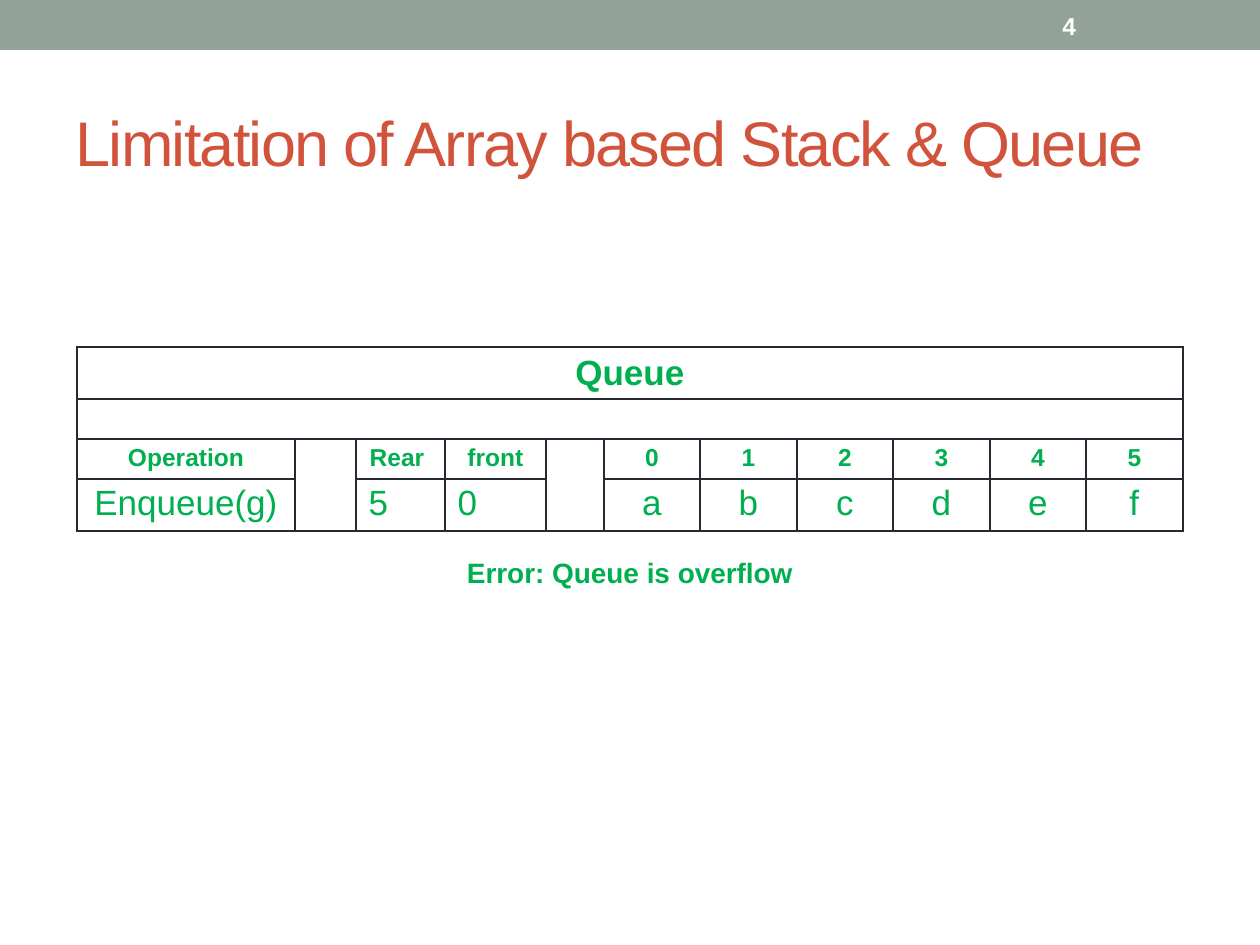
from lxml import etree
from pptx import Presentation
from pptx import util as u
from pptx.dml.color import RGBColor
from pptx.enum import shapes, text
from pptx.oxml.ns import qn

# Content
TITLE = "Limitation of Array based Stack & Queue"
PAGE_NUMBER = "4"
QUEUE_TITLE = "Queue"
HEADINGS = ["Operation", "", "Rear ", "front", "", "0", "1", "2", "3", "4", "5"]
VALUES = ["Enqueue(g)", "", "5", "0", "", "a", "b", "c", "d", "e", "f"]
ERROR = "Error: Queue is overflow"
LEFT_ALIGNED = (2, 3)
COLUMNS = [218, 61, 89, 101, 58] + [96, 97] * 3
ROWS = [51, 40, 40, 52, 103]
GREEN, RED, SAGE, DARK, WHITE = "00B050", "D2533C", "93A299", "292934", "FFFFFF"
PLAIN_TABLE = "{2D5ABB26-0587-4C30-8999-92F81FD0307C}"
LEFT, CENTER = text.PP_ALIGN.LEFT, text.PP_ALIGN.CENTER
MIDDLE, TOP = text.MSO_ANCHOR.MIDDLE, text.MSO_ANCHOR.TOP


def px(*lengths):
    return [u.Emu(round(length * 914400 / 126)) for length in lengths]


def color(value):
    return RGBColor.from_string(value)


def write(frame, words, size, ink, bold=False, align=LEFT, anchor=MIDDLE, spacing=None):
    frame.word_wrap = True
    frame.vertical_anchor = anchor
    para = frame.paragraphs[0]
    para.alignment = align
    if not words:
        etree.SubElement(para._p, qn("a:endParaRPr"), sz=str(size * 100))
        return
    span = para.add_run()
    span.text = words
    font = span.font
    font.name, font.size, font.bold = "Arial", u.Pt(size), bold
    font.color.rgb = color(ink)
    if spacing is not None:
        span._r.get_or_add_rPr().set("spc", str(spacing * 100))


def border(cell, sides):
    props = cell._tc.get_or_add_tcPr()
    lines = []
    for side in "LRTB":
        if side in sides:
            line = etree.Element(qn("a:ln" + side), w=str(u.Pt(1)))
            fill = etree.SubElement(line, qn("a:solidFill"))
            etree.SubElement(fill, qn("a:srgbClr"), val=DARK)
            lines.append(line)
    for index, line in enumerate(lines):
        props.insert(index, line)


deck = Presentation()
deck.slide_width, deck.slide_height = px(1260, 945)
page = deck.slides.add_slide(deck.slide_layouts[5])

# Top band, title and page number
band = page.shapes.add_shape(shapes.MSO_SHAPE.RECTANGLE, *px(0, 0, 1260, 50))
band.shadow.inherit = False
band.fill.solid()
band.fill.fore_color.rgb = color(SAGE)
band.line.fill.background()

title = page.shapes.title
title.left, title.top, title.width, title.height = px(63, 73, 1134, 136)
write(title.text_frame, TITLE, 36, RED, spacing=-1)

number = page.shapes.add_textbox(*px(1050, 3, 147, 45))
write(number.text_frame, PAGE_NUMBER, 14, WHITE, bold=True)

# Queue table
frame = page.shapes.add_table(len(ROWS), len(COLUMNS), *px(77, 347, sum(COLUMNS), sum(ROWS)))
table = frame.table
table.first_row = table.horz_banding = False
frame._element.find(".//" + qn("a:tableStyleId")).text = PLAIN_TABLE
for column, width in zip(table.columns, px(*COLUMNS)):
    column.width = width
for row, height in zip(table.rows, px(*ROWS)):
    row.height = height
for cell in table.iter_cells():
    cell.fill.background()
    cell.margin_top, cell.margin_bottom = px(5, 5)

# Full-width rows: words, size, edges
last = len(COLUMNS) - 1
for row, words, size, sides in [(0, QUEUE_TITLE, 20, "LRTB"), (1, "", 14, "LRT"), (4, ERROR, 16, "T")]:
    for column in range(last + 1):
        inner = "" if column in (0, last) else "LR"
        border(table.cell(row, column), [side for side in sides if side not in inner])
    cell = table.cell(row, 0)
    cell.merge(table.cell(row, last))
    write(cell.text_frame, words, size, GREEN, bold=True, align=CENTER)
    cell.vertical_anchor = MIDDLE
table.cell(4, 0).margin_bottom = px(22)[0]

# Headings and values, with open gap columns
for row, items, size, bold in [(2, HEADINGS, 14, True), (3, VALUES, 20, False)]:
    for column, words in enumerate(items):
        cell = table.cell(row, column)
        align = LEFT if row == 3 and column in LEFT_ALIGNED else CENTER
        write(cell.text_frame, words, size, GREEN, bold=bold, align=align, anchor=TOP)
        border(cell, "LRTB" if words else "LRB" if row == 3 else "LR")

deck.save("out.pptx")
